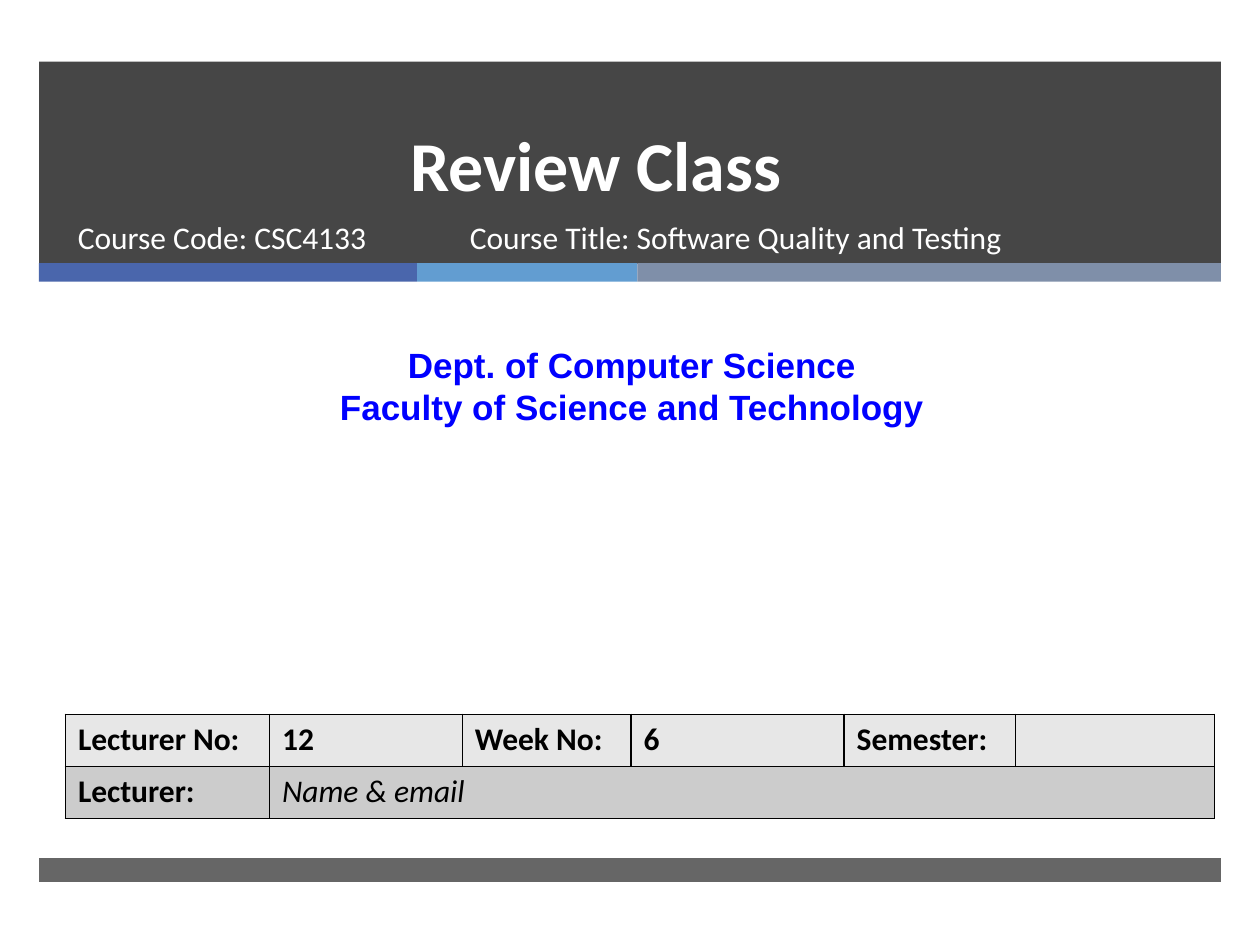
from pptx import Presentation
from pptx.dml.color import RGBColor
from pptx.enum.shapes import MSO_SHAPE
from pptx.enum.text import MSO_ANCHOR, PP_ALIGN
from pptx.oxml.ns import qn
from pptx.util import Pt
from lxml import etree

RECT = MSO_SHAPE.RECTANGLE
TOP, BOTTOM = MSO_ANCHOR.TOP, MSO_ANCHOR.BOTTOM
LEFT, CENTER = PP_ALIGN.LEFT, PP_ALIGN.CENTER

WHITE = RGBColor(0xFF, 0xFF, 0xFF)
BLACK = RGBColor(0x00, 0x00, 0x00)
DARK = RGBColor(0x26, 0x26, 0x26)
NAVY = RGBColor(0x4A, 0x66, 0xAC)
SKY = RGBColor(0x62, 0x9D, 0xD1)
SLATE = RGBColor(0x7F, 0x8F, 0xA9)
BLUE = RGBColor(0x00, 0x00, 0xFF)
PALE = RGBColor(0xE7, 0xE7, 0xE7)
GREY = RGBColor(0xCC, 0xCC, 0xCC)

# Content
EDGE, WIDE = 22.3, 675.4
BANDS = [  # top, height, opacity in percent
    (35.2, 115.6, 85),
    (490.3, 13.7, 70),
]
STRIPES = [(NAVY, 216), (SKY, 126), (SLATE, 333.4)]
TEXTS = [  # lines, box, font, size, colour, bold, align, anchor, line spacing
    (["Review Class"], (33.1, 62.6, 614.9, 58.3),
     "Calibri", 40, WHITE, True, CENTER, BOTTOM, 46),
    (["Course Code: CSC4133"], (37.4, 121, 219.6, 38.2),
     "Calibri", 18, WHITE, False, LEFT, TOP, None),
    (["Course Title: Software Quality and Testing"], (261.4, 121.3, 327.6, 38.2),
     "Calibri", 18, WHITE, False, LEFT, TOP, None),
    (["Dept. of Computer Science", "Faculty of Science and Technology"],
     (5.8, 193, 710.6, 55.4), "Arial", 20, BLUE, True, CENTER, TOP, None),
]
ROWS = [
    ["Lecturer No:", "12", "Week No:", "6", "Semester:", ""],
    ["Lecturer:", "Name & email", "", "", "", ""],
]
FILLS = [PALE, GREY]
COLS = [116.6, 110.2, 96.5, 121.7, 97.9, 113.8]
ROW = 29.8


def add_bar(left, top, width, height, color, alpha=100):
    bar = slide.shapes.add_shape(RECT, Pt(left), Pt(top), Pt(width), Pt(height))
    bar.shadow.inherit = False
    bar.fill.solid()
    bar.fill.fore_color.rgb = color
    bar.line.fill.background()
    if alpha < 100:
        tint = bar.fill._xPr.find(".//" + qn("a:srgbClr"))
        etree.SubElement(tint, qn("a:alpha"), val=str(alpha * 1000))


def style(font, name, size, color, bold, italic=False):
    font.name, font.size = name, Pt(size)
    font.bold, font.italic = bold, italic
    font.color.rgb = color


def add_text(lines, box, name, size, color, bold, align, anchor, space):
    frame = slide.shapes.add_textbox(*map(Pt, box)).text_frame
    frame.word_wrap = True
    frame.vertical_anchor = anchor
    frame.text = "\n".join(lines)
    for para in frame.paragraphs:
        para.alignment = align
        if space:
            para.line_spacing = Pt(space)
        style(para.runs[0].font, name, size, color, bold)


def add_border(cell):
    props = cell._tc.get_or_add_tcPr()
    for side in ("lnL", "lnR", "lnT", "lnB"):
        line = etree.SubElement(props, qn("a:" + side), w=str(Pt(1)))
        fill = etree.SubElement(line, qn("a:solidFill"))
        etree.SubElement(fill, qn("a:srgbClr"), val=str(BLACK))


deck = Presentation()
deck.slide_width, deck.slide_height = Pt(720), Pt(540)
slide = deck.slides.add_slide(deck.slide_layouts[6])

# Header and footer bands
for top, height, alpha in BANDS:
    add_bar(EDGE, top, WIDE, height, DARK, alpha)

# Coloured stripes under the header
left = EDGE
for color, width in STRIPES:
    add_bar(left, 150.4, width, 10.6, color)
    left += width

# Title, course and department
for item in TEXTS:
    add_text(*item)

# Lecture table
table = slide.shapes.add_table(
    len(ROWS), len(COLS), Pt(37.4), Pt(408.2),
    Pt(sum(COLS)), Pt(ROW * len(ROWS))).table
for col, width in zip(table.columns, COLS):
    col.width = Pt(width)
for r, (row, fill) in enumerate(zip(ROWS, FILLS)):
    table.rows[r].height = Pt(ROW)
    for c, text in enumerate(row):
        cell = table.cell(r, c)
        add_border(cell)
        cell.fill.solid()
        cell.fill.fore_color.rgb = fill
        cell.text = text
        name = (r, c) == (1, 1)
        style(cell.text_frame.paragraphs[0].font, "Calibri", 18, BLACK,
              not name, name)
table.cell(1, 1).merge(table.cell(1, 5))

deck.save("out.pptx")
